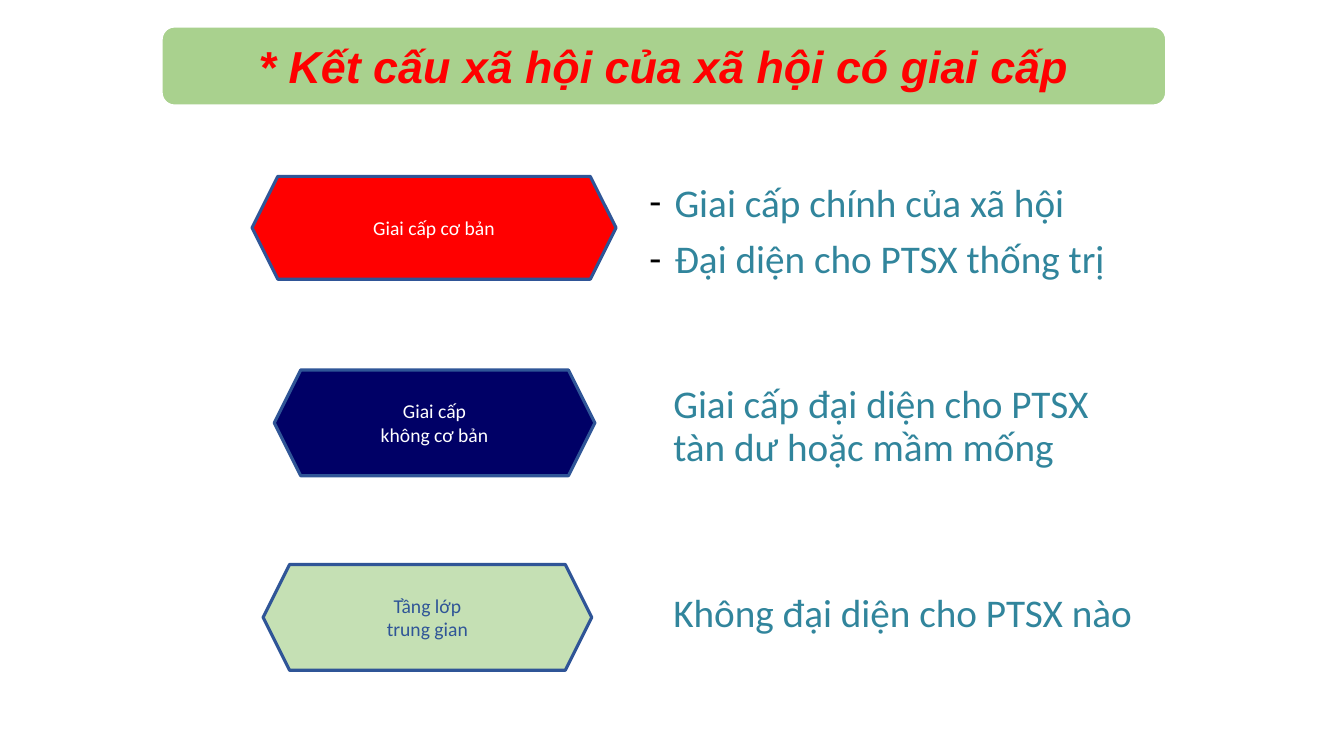
from lxml import etree
from pptx import Presentation
from pptx.dml.color import RGBColor
from pptx.enum import shapes, text
from pptx.oxml.ns import qn
from pptx.util import Inches, Pt

COLORS = {
    "banner": "A9D18E", "white": "FFFFFF", "red": "FF0000", "navy": "000066",
    "pale_green": "C5E0B4", "blue": "2F5597", "teal": "31859C", "black": "000000",
}

# Hexagon: box, lines, fill, font colour. Description: box, paragraphs.
CLASSES = [
    ((2.5, 1.75, 3.61, 1.02), ["Giai cấp cơ bản"], "red", "white",
     (6.34, 1.77, 5.33, 1.21),
     ["Giai cấp chính của xã hội", "Đại diện cho PTSX thống trị"]),
    ((2.72, 3.67, 3.18, 1.05), ["Giai cấp", "không cơ bản"], "navy", "white",
     (6.58, 3.77, 4.7, 0.84),
     ["Giai cấp đại diện cho PTSX tàn dư hoặc mầm mống"]),
    ((2.61, 5.6, 3.26, 1.05), ["Tầng lớp", "trung gian"], "pale_green", "blue",
     (6.58, 5.84, 5.06, 0.62), ["Không đại diện cho PTSX nào"]),
]


def rgb(name):
    return RGBColor.from_string(COLORS[name])


def place(part, box):
    part.left, part.top, part.width, part.height = map(Inches, box)


def set_font(paragraph, face, size, color):
    font = paragraph.font
    font.name, font.size = face, Pt(size)
    font.color.rgb = rgb(color)


def add_preset(slide, preset, box, fill, line, line_width):
    part = slide.shapes.add_shape(preset, *map(Inches, box))
    part.shadow.inherit = False
    part.fill.solid()
    part.fill.fore_color.rgb = rgb(fill)
    part.line.color.rgb = rgb(line)
    part.line.width = Pt(line_width)
    return part


def add_heading(slide, box, wording):
    """Place the title on a rounded banner that fills the box."""
    left, top, width, height = box
    banner = add_preset(slide, shapes.MSO_SHAPE.ROUNDED_RECTANGLE, box,
                        "banner", "white", 2)
    title = slide.shapes.title
    title._element.addprevious(banner._element)
    place(title, (left + 0.06, top + 0.04, width - 0.12, height - 0.08))
    title.fill.solid()
    title.fill.fore_color.rgb = rgb("banner")
    frame = title.text_frame
    frame.text = wording
    frame.word_wrap = True
    frame.auto_size = text.MSO_AUTO_SIZE.NONE
    frame.vertical_anchor = text.MSO_ANCHOR.MIDDLE
    frame.margin_left = frame.margin_right = Inches(0.24)
    frame.margin_top = frame.margin_bottom = 0
    heading = frame.paragraphs[0]
    heading.alignment = text.PP_ALIGN.CENTER
    set_font(heading, "Arial", 32, "red")
    heading.font.bold = heading.font.italic = True


def add_class_name(slide, box, lines, fill, color):
    hexagon = add_preset(slide, shapes.MSO_SHAPE.HEXAGON, box, fill, "blue", 2.25)
    frame = hexagon.text_frame
    frame.text = "\n".join(lines)
    frame.word_wrap = True
    frame.vertical_anchor = text.MSO_ANCHOR.MIDDLE
    for paragraph in frame.paragraphs:
        paragraph.alignment = text.PP_ALIGN.CENTER
        set_font(paragraph, "Calibri", 14, color)


def add_dash(paragraph):
    properties = paragraph._p.get_or_add_pPr()
    properties.set("marL", str(Inches(0.25)))
    properties.set("indent", str(Inches(-0.25)))
    dash_color = etree.SubElement(properties, qn("a:buClr"))
    etree.SubElement(dash_color, qn("a:srgbClr"), val=COLORS["black"])
    etree.SubElement(properties, qn("a:buFont"), typeface="Calibri")
    etree.SubElement(properties, qn("a:buChar"), char="-")


def fill_description(part, box, lines):
    """Write the lines into the part, dashed when there are several."""
    place(part, box)
    frame = part.text_frame
    frame.text = "\n".join(lines)
    frame.word_wrap = True
    frame.auto_size = text.MSO_AUTO_SIZE.NONE
    for paragraph in frame.paragraphs:
        paragraph.line_spacing = 0.9
        paragraph.space_before = Pt(10)
        set_font(paragraph, "Calibri", 28, "teal")
        if len(lines) > 1:
            add_dash(paragraph)


def build_slide(deck):
    slide = deck.slides.add_slide(deck.slide_layouts[1])
    add_heading(slide, (1.6, 0.26, 9.97, 0.79),
                "* Kết cấu xã hội của xã hội có giai cấp")
    for name_box, name, fill, color, box, description in CLASSES:
        add_class_name(slide, name_box, name, fill, color)
        if len(description) > 1:
            part = slide.placeholders[1]
        else:
            part = slide.shapes.add_textbox(*map(Inches, box))
        fill_description(part, box, description)


def main():
    deck = Presentation()
    deck.slide_width, deck.slide_height = Inches(13.33), Inches(7.5)
    build_slide(deck)
    deck.save("out.pptx")


if __name__ == "__main__":
    main()
